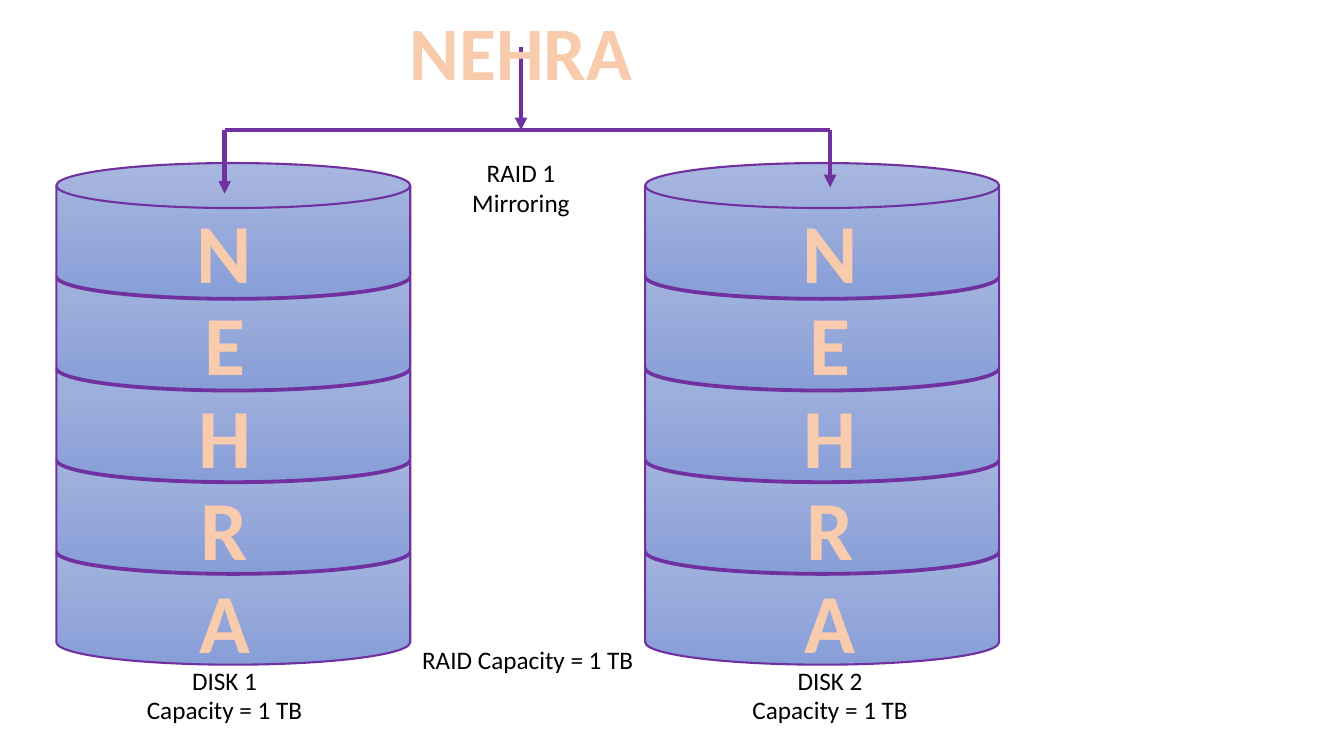
from lxml.etree import SubElement
from pptx import Presentation
from pptx.dml.color import RGBColor
from pptx.enum.shapes import MSO_CONNECTOR, MSO_SHAPE
from pptx.enum.text import MSO_AUTO_SIZE, PP_ALIGN
from pptx.oxml import parse_xml
from pptx.oxml.ns import nsdecls, qn
from pptx.util import Cm, Pt

COLORS = {
    "purple": "7030A0",
    "disk_top": "A8B7DF",
    "disk_bottom": "889ED7",
    "letter": "F8CBAD",
    "outline": "ED7D31",
    "text": "000000",
}
WORD = "NEHRA"
DISK_WIDTH, DISK_TOP = 8.92, 4.11
SLICE_HEIGHT, SLICE_STEP = 3.4, 2.31
LETTER_TOP, LETTER_STEP = 4.9, 2.33
CAPTION_TOP, CAPTION_STEP = 16.64, 0.72
BRANCH_TOP = 3.28


def color(name):
    """Return the named colour."""
    return RGBColor.from_string(COLORS[name])


def add_text(page, left, top, width, height, lines, size=18, fancy=False):
    """Write centred lines in a box; fancy text is bold and outlined."""
    box = page.shapes.add_textbox(Cm(left), Cm(top), Cm(width), Cm(height))
    frame = box.text_frame
    frame.word_wrap = True
    frame.auto_size = MSO_AUTO_SIZE.SHAPE_TO_FIT_TEXT
    for number, line in enumerate(lines):
        paragraph = frame.add_paragraph() if number else frame.paragraphs[0]
        paragraph.alignment = PP_ALIGN.CENTER
        font = paragraph.font
        font.name, font.size, font.bold = "Calibri", Pt(size), fancy
        font.color.rgb = color("letter" if fancy else "text")
        span = paragraph.add_run()
        span.text = line
        if fancy:
            span.font.color.rgb = color("letter")
            span.font._element.insert(0, parse_xml(
                f'<a:ln {nsdecls("a")} w="{Pt(1.75)}"><a:solidFill>'
                f'<a:srgbClr val="{COLORS["outline"]}"/></a:solidFill></a:ln>'))


def add_line(page, start, end, arrow=True):
    """Draw a thick purple line between two points, with an optional arrowhead."""
    points = [Cm(value) for value in (*start, *end)]
    line = page.shapes.add_connector(MSO_CONNECTOR.STRAIGHT, *points)
    line.line.color.rgb = color("purple")
    line.line.width = Pt(3)
    if arrow:
        SubElement(line.line._get_or_add_ln(), qn("a:tailEnd"), type="triangle")
    SubElement(line._element.spPr, qn("a:effectLst"))


def add_slice(page, left, top):
    """Draw one cylinder of a disk."""
    part = page.shapes.add_shape(
        MSO_SHAPE.FLOWCHART_MAGNETIC_DISK,
        Cm(left), Cm(top), Cm(DISK_WIDTH), Cm(SLICE_HEIGHT))
    part.shadow.inherit = False
    part.fill.gradient()
    part.fill.gradient_angle = 270
    for stop, name in zip(part.fill.gradient_stops, ("disk_top", "disk_bottom")):
        stop.color.rgb = color(name)
    part.line.color.rgb = color("purple")
    part.line.width = Pt(1.5)


def add_disk(page, left, axis, arrow_end, name):
    """Stack slices from the bottom up, then add arrow, letters and caption."""
    for row in reversed(range(len(WORD))):
        add_slice(page, left, DISK_TOP + row * SLICE_STEP)
    add_line(page, (axis, BRANCH_TOP), (axis, arrow_end))
    for row, letter in enumerate(WORD):
        add_text(page, axis - 1.2, LETTER_TOP + row * LETTER_STEP, 2.4, 2.82,
                 [letter], size=60, fancy=True)
    for row, caption in enumerate((name, "Capacity = 1 TB")):
        add_text(page, axis - 2.27, CAPTION_TOP + row * CAPTION_STEP,
                 4.54, 1.02, [caption])


def add_source(page, axis, branches):
    """Draw the word, its arrow and the line that splits it to the disks."""
    add_line(page, (branches[0], BRANCH_TOP), (branches[1], BRANCH_TOP), arrow=False)
    add_line(page, (axis, 1.19), (axis, BRANCH_TOP))
    add_text(page, axis - 6.1, 0, 12.2, 2.57, [WORD], size=54, fancy=True)


def add_raid_labels(page, axis):
    """Write the RAID level and total capacity between the disks."""
    add_text(page, axis - 2.27, 3.84, 4.54, 1.8, ["RAID 1", "Mirroring"])
    add_text(page, axis + 0.17 - 3.07, 16.1, 6.14, 1.02, ["RAID Capacity = 1 TB"])


deck = Presentation()
deck.slide_width, deck.slide_height = Cm(33.87), Cm(19.05)
page = deck.slides.add_slide(deck.slide_layouts[6])
add_source(page, axis=13.13, branches=(5.66, 20.92))
add_raid_labels(page, axis=13.13)
add_disk(page, left=1.42, axis=5.66, arrow_end=4.88, name="DISK 1")
add_disk(page, left=16.26, axis=20.92, arrow_end=4.72, name="DISK 2")
deck.save("out.pptx")
